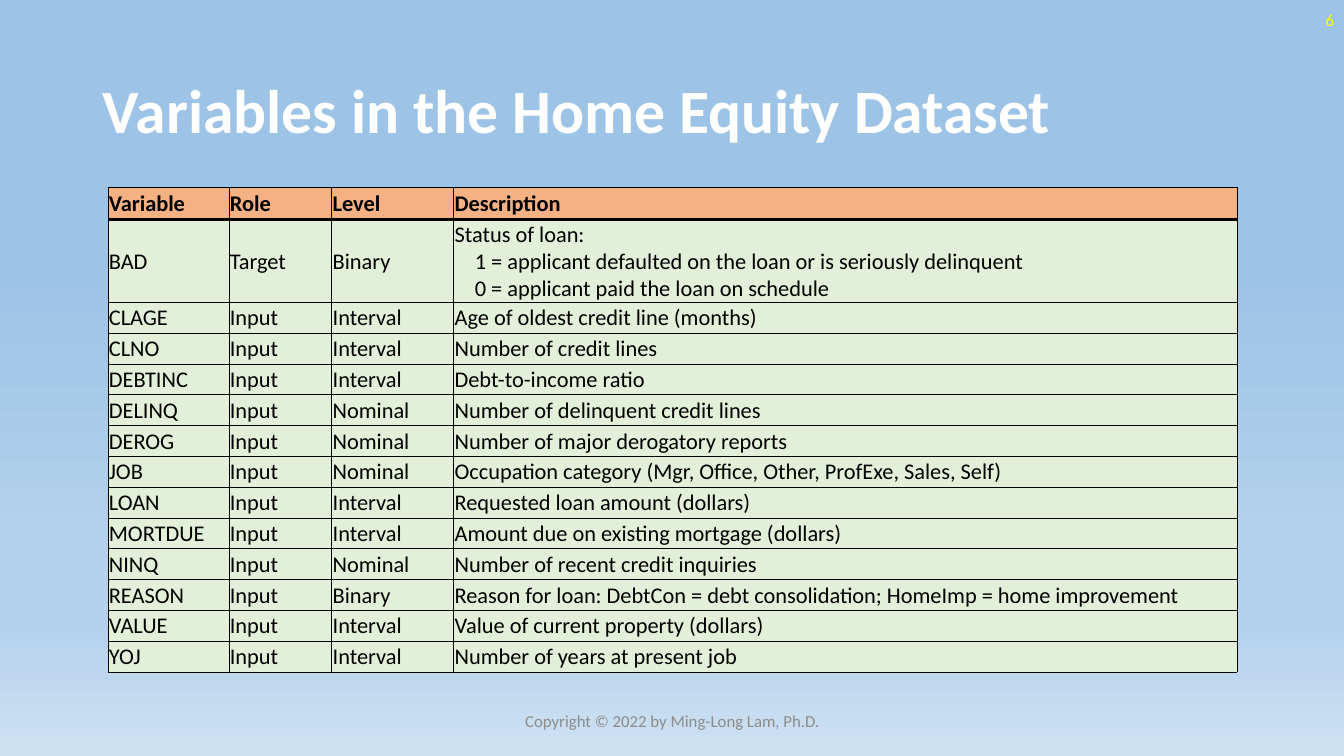
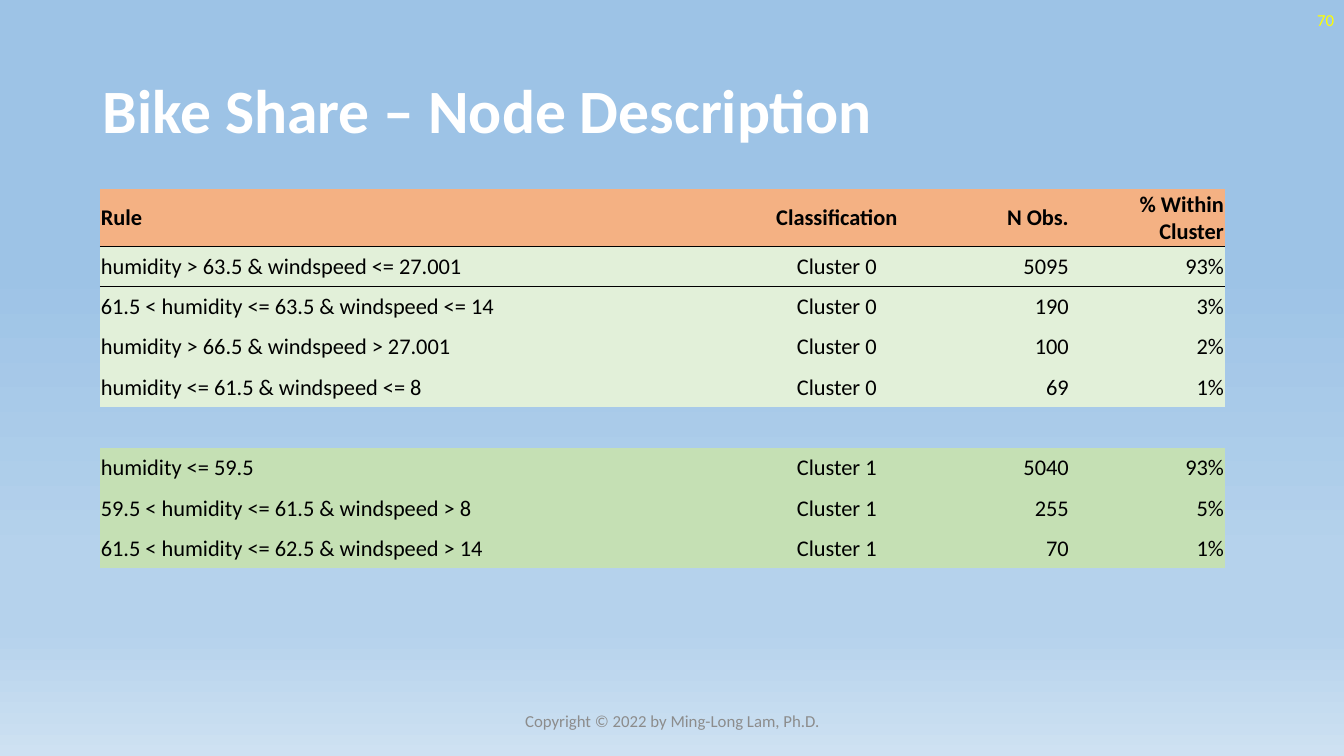
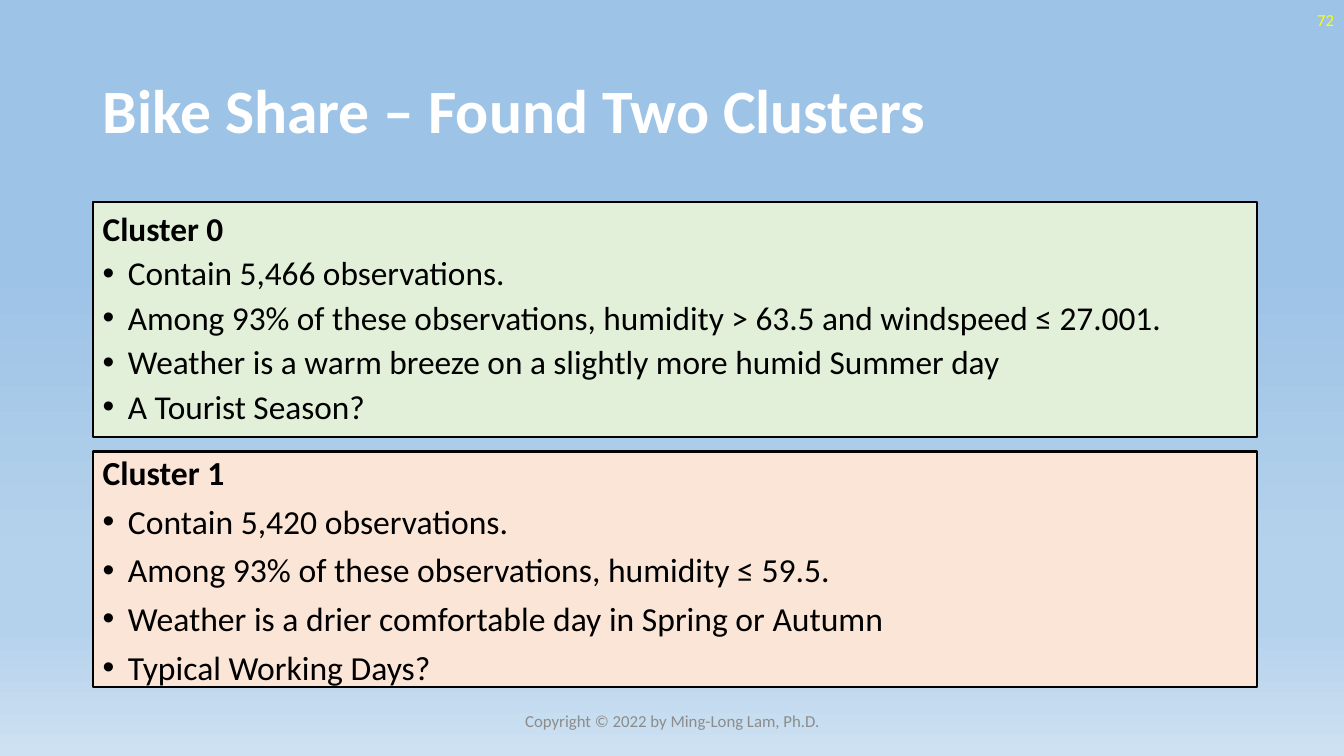
from lxml.etree import SubElement
from pptx import Presentation
from pptx.dml.color import RGBColor
from pptx.enum.shapes import MSO_SHAPE as Shape
from pptx.enum.text import MSO_ANCHOR as Anchor, PP_ALIGN as Align
from pptx.oxml.ns import qn
from pptx.util import Inches, Pt

# Shared look
FONT = "Calibri"
BLACK, WHITE, YELLOW, GREY = "000000", "FFFFFF", "FFFF00", "8C8C8C"
ORANGE, PEACH, LIGHT_GREEN, GREEN = "F4B183", "FBE5D6", "E2F0D9", "C5E0B4"
BACKGROUND_STOPS = [(35, "9DC3E6"), (74, "B5D2EC"), (83, "B5D2EC"), (100, "CEE1F2")]
COPYRIGHT = "Copyright © 2022 by Ming-Long Lam, Ph.D."
NO_TABLE_STYLE = "{2D5ABB26-0587-4C30-8999-92F81FD0307C}"
CELL_MARGINS = {"margin_left": Inches(0.01), "margin_right": Inches(0.01),
                "margin_top": Inches(0.01), "margin_bottom": 0}
THIN, THICK = 0.5, 2
INDENT = 0.25

# Slide content
VARIABLES = [
    ("Variable", "Role", "Level", "Description"),
    ("BAD", "Target", "Binary",
     "Status of loan:\n"
     "1 = applicant defaulted on the loan or is seriously delinquent\n"
     "0 = applicant paid the loan on schedule"),
    ("CLAGE", "Input", "Interval", "Age of oldest credit line (months)"),
    ("CLNO", "Input", "Interval", "Number of credit lines"),
    ("DEBTINC", "Input", "Interval", "Debt-to-income ratio"),
    ("DELINQ", "Input", "Nominal", "Number of delinquent credit lines"),
    ("DEROG", "Input", "Nominal", "Number of major derogatory reports"),
    ("JOB", "Input", "Nominal",
     "Occupation category (Mgr, Office, Other, ProfExe, Sales, Self)"),
    ("LOAN", "Input", "Interval", "Requested loan amount (dollars)"),
    ("MORTDUE", "Input", "Interval", "Amount due on existing mortgage (dollars)"),
    ("NINQ", "Input", "Nominal", "Number of recent credit inquiries"),
    ("REASON", "Input", "Binary",
     "Reason for loan: DebtCon = debt consolidation; HomeImp = home improvement"),
    ("VALUE", "Input", "Interval", "Value of current property (dollars)"),
    ("YOJ", "Input", "Interval", "Number of years at present job"),
]
RULES = [
    ("Rule", "Classification", "N Obs.", "% Within Cluster"),
    ("humidity > 63.5 & windspeed <= 27.001", "Cluster 0", "5095", "93%"),
    ("61.5 < humidity <= 63.5 & windspeed <= 14", "Cluster 0", "190", "3%"),
    ("humidity > 66.5 & windspeed > 27.001", "Cluster 0", "100", "2%"),
    ("humidity <= 61.5 & windspeed <= 8", "Cluster 0", "69", "1%"),
    ("", "", "", ""),
    ("humidity <= 59.5", "Cluster 1", "5040", "93%"),
    ("59.5 < humidity <= 61.5 & windspeed > 8", "Cluster 1", "255", "5%"),
    ("61.5 < humidity <= 62.5 & windspeed > 14", "Cluster 1", "70", "1%"),
]
CLUSTER_0 = [
    "Cluster 0",
    "Contain 5,466 observations.",
    "Among 93% of these observations, humidity > 63.5 and windspeed ≤ 27.001.",
    "Weather is a warm breeze on a slightly more humid Summer day",
    "A Tourist Season?",
]
CLUSTER_1 = [
    "Cluster 1",
    "Contain 5,420 observations.",
    "Among 93% of these observations, humidity ≤ 59.5.",
    "Weather is a drier comfortable day in Spring or Autumn",
    "Typical Working Days?",
]


# Helpers
def color(hex_value):
    return RGBColor.from_string(hex_value)


def apply(target, values):
    for name, value in values.items():
        setattr(target, name, value)


def format_paragraph(paragraph, size, hex_value, bold=False, **layout):
    apply(paragraph, layout)
    apply(paragraph.font, {"name": FONT, "size": Pt(size), "bold": bold})
    paragraph.font.color.rgb = color(hex_value)


def indent(paragraph, left, first=0, bullet=None):
    properties = paragraph._p.get_or_add_pPr()
    properties.set("marL", str(Inches(left)))
    properties.set("indent", str(Inches(first)))
    if bullet:
        SubElement(properties, qn("a:buFont"), typeface="Arial")
        SubElement(properties, qn("a:buChar"), char=bullet)


def set_background(master):
    fill = master.background.fill
    fill.gradient()
    fill.gradient_angle = 270
    stops = next(master.element.iter(qn("a:gsLst")))
    for stop in list(stops):
        stops.remove(stop)
    for percent, hex_value in BACKGROUND_STOPS:
        stop = SubElement(stops, qn("a:gs"), pos=str(percent * 1000))
        SubElement(stop, qn("a:srgbClr"), val=hex_value)


def add_label(slide, text, box, hex_value, alignment):
    frame = slide.shapes.add_textbox(*map(Inches, box)).text_frame
    apply(frame, {"word_wrap": True, "vertical_anchor": Anchor.MIDDLE, "text": text})
    format_paragraph(frame.paragraphs[0], 12, hex_value, alignment=alignment)


def add_slide(presentation, title_text, number):
    slide = presentation.slides.add_slide(presentation.slide_layouts[5])
    title = slide.shapes.title
    apply(title, {"left": Inches(0.92), "top": Inches(0.4),
                  "width": Inches(11.5), "height": Inches(1.45)})
    apply(title.text_frame, {"text": title_text, "word_wrap": True,
                             "vertical_anchor": Anchor.MIDDLE})
    format_paragraph(title.text_frame.paragraphs[0], 44, WHITE, True,
                     alignment=Align.LEFT, line_spacing=0.9)
    add_label(slide, COPYRIGHT, (4.42, 6.95, 4.5, 0.4), GREY, Align.CENTER)
    add_label(slide, str(number), (10.33, 0, 3, 0.4), YELLOW, Align.RIGHT)
    return slide


def set_borders(cell, widths):
    properties = cell._tc.get_or_add_tcPr()
    for side in "LRTB":
        if side in widths:
            line = SubElement(properties, qn("a:ln" + side), w=str(Pt(widths[side])))
            fill = SubElement(line, qn("a:solidFill"))
            SubElement(fill, qn("a:srgbClr"), val=BLACK)


def fill_cell(cell, text, fill, bold, alignment, borders):
    apply(cell, {**CELL_MARGINS, "vertical_anchor": Anchor.MIDDLE, "text": text})
    set_borders(cell, borders)
    if fill:
        cell.fill.solid()
        cell.fill.fore_color.rgb = color(fill)
    else:
        cell.fill.background()
    for index, paragraph in enumerate(cell.text_frame.paragraphs):
        if index:
            indent(paragraph, 0.2)
        format_paragraph(paragraph, 16, BLACK, bold, alignment=alignment)


def add_table(slide, rows, left, top, widths, heights, fills, alignments, borders):
    """Add a table; borders(row index) gives the line widths by side."""
    box = map(Inches, (left, top, sum(widths), sum(heights)))
    frame = slide.shapes.add_table(len(rows), len(widths), *box)
    next(frame.element.iter(qn("a:tableStyleId"))).text = NO_TABLE_STYLE
    table = frame.table
    apply(table, {"first_row": False, "horz_banding": False})
    for column, width in zip(table.columns, widths):
        column.width = Inches(width)
    for r, (row, height) in enumerate(zip(rows, heights)):
        table.rows[r].height = Inches(height)
        for c, text in enumerate(row):
            fill_cell(table.cell(r, c), text, fills[r], r == 0, alignments[c], borders(r))


def add_cluster_box(slide, lines, top, fill, size, line_spacing):
    shape = slide.shapes.add_shape(Shape.RECTANGLE, *map(Inches, (0.92, top, 11.55, 2.34)))
    shape.shadow.inherit = False
    shape.fill.solid()
    shape.fill.fore_color.rgb = color(fill)
    shape.line.color.rgb = color(BLACK)
    shape.line.width = Pt(1.5)
    frame = shape.text_frame
    apply(frame, {"text": "\n".join(lines), "word_wrap": True,
                  "vertical_anchor": Anchor.MIDDLE})
    for index, paragraph in enumerate(frame.paragraphs):
        if index:
            indent(paragraph, INDENT, -INDENT, "•")
        format_paragraph(paragraph, size, BLACK, index == 0, alignment=Align.LEFT,
                         line_spacing=line_spacing, space_before=Pt(6 if index else 0))


# Border rules
def grid_borders(row):
    return {"L": THIN, "R": THIN, "T": THICK if row == 1 else THIN,
            "B": THICK if row == 0 else THIN}


def header_borders(row):
    return {0: {"B": THIN}, 1: {"T": THIN}}.get(row, {})


# Slides
def add_variables_slide(presentation):
    slide = add_slide(presentation, "Variables in the Home Equity Dataset", 6)
    first_heights = [0.32, 0.82]
    other_rows = len(VARIABLES) - len(first_heights)
    row_height = (4.81 - sum(first_heights)) / other_rows
    add_table(slide, VARIABLES, 1.07, 1.86, [1.2, 1.02, 1.21, 7.77],
              first_heights + [row_height] * other_rows,
              [ORANGE] + [LIGHT_GREEN] * (len(VARIABLES) - 1),
              [Align.LEFT] * 4, grid_borders)


def add_rules_slide(presentation):
    slide = add_slide(presentation, "Bike Share – Node Description", 70)
    add_table(slide, RULES, 0.99, 1.88, [6.54] + [1.54] * 3, [0.56] + [0.4] * 8,
              [ORANGE] + [LIGHT_GREEN] * 4 + [None] + [GREEN] * 3,
              [Align.LEFT, Align.CENTER, Align.RIGHT, Align.RIGHT], header_borders)


def add_clusters_slide(presentation):
    slide = add_slide(presentation, "Bike Share – Found Two Clusters", 72)
    add_cluster_box(slide, CLUSTER_0, 2, LIGHT_GREEN, 23.8, 0.9)
    add_cluster_box(slide, CLUSTER_1, 4.48, PEACH, 24, 1.0)


def main():
    presentation = Presentation()
    apply(presentation, {"slide_width": Inches(13.33), "slide_height": Inches(7.5)})
    set_background(presentation.slide_master)
    add_variables_slide(presentation)
    add_rules_slide(presentation)
    add_clusters_slide(presentation)
    presentation.save("out.pptx")


if __name__ == "__main__":
    main()
